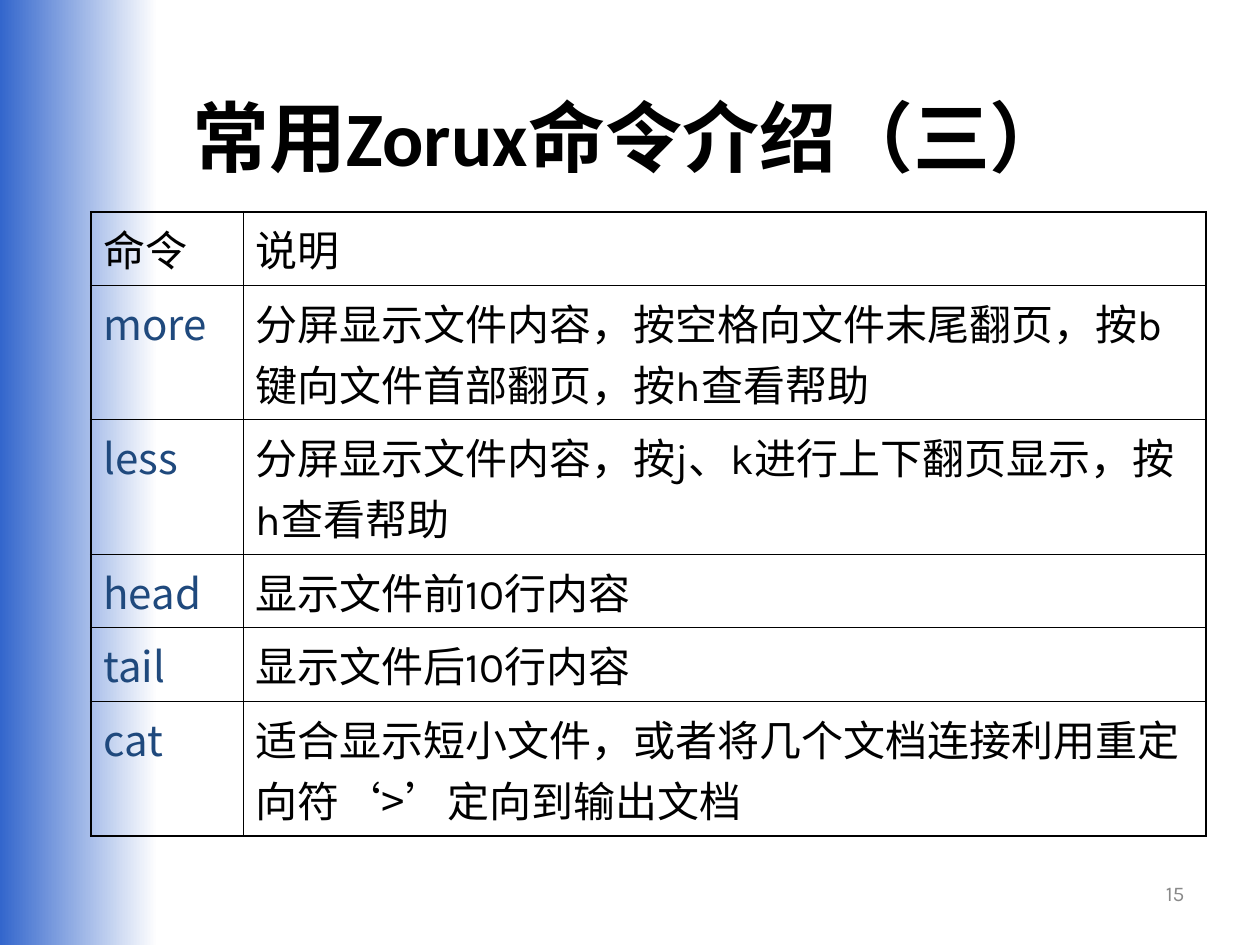
from lxml import etree
from pptx import Presentation
from pptx.dml.color import RGBColor
from pptx.enum.shapes import MSO_SHAPE
from pptx.enum.text import MSO_ANCHOR, PP_ALIGN
from pptx.oxml.ns import qn
from pptx.util import Inches, Pt

RECTANGLE = MSO_SHAPE.RECTANGLE
MIDDLE = MSO_ANCHOR.MIDDLE
CENTER = PP_ALIGN.CENTER
RIGHT = PP_ALIGN.RIGHT

CJK = "Noto Sans CJK SC"
LATIN = "Karla"
BLACK = "000000"
NAVY = "1F497D"
THIN, THICK = 0.45, 1.08

COLUMN_WIDTHS = [1.21, 7.64]
ROW_HEIGHTS = [0.5, 0.9, 0.9, 0.5, 0.5, 0.9]
COMMANDS = [
    ("命令", [("说明", LATIN)]),
    ("more", [("分屏显示文件内容，按空格向文件末尾翻页，按b键向文件首部翻页，按h查看帮助", LATIN)]),
    ("less", [("分屏显示文件内容，按j、k进行上下翻页显示，按h查看帮助", LATIN)]),
    ("head", [("显示文件前10行内容", LATIN)]),
    ("tail", [("显示文件后10行内容", LATIN)]),
    ("cat", [
        ("适合显示短小文件，或者将几个文档连接利用重定向符", CJK),
        ("‘", "Arial"),
        (">", CJK),
        ("’", "Arial"),
        ("定向到输出文档", CJK),
    ]),
]


def rgb(color):
    return RGBColor.from_string(color)


def format_run(r, size, font, color, bold=False):
    r.font.size = Pt(size)
    r.font.name = font
    r.font.bold = bold
    r.font.color.rgb = rgb(color)
    latin = r.font._element.find(qn("a:latin"))
    ea = etree.Element(qn("a:ea"), typeface=CJK)
    latin.addnext(ea)


def format_title(title):
    title.left, title.top = Inches(0.5), Inches(0.32)
    title.width, title.height = Inches(9), Inches(1.51)
    tf = title.text_frame
    tf.text = "常用Zorux命令介绍（三）"
    tf.vertical_anchor = MIDDLE
    p = tf.paragraphs[0]
    p.alignment = CENTER
    format_run(p.runs[0], 44, "Calibri", BLACK, bold=True)


def add_side_band(slide):
    sp = slide.shapes.add_shape(RECTANGLE, 0, 0, Inches(1.25), Inches(7.5))
    sp.shadow.inherit = False
    sp.line.fill.background()
    sp.fill.gradient()
    sp.fill.gradient_angle = 180
    for stop, position, color in zip(sp.fill.gradient_stops, (0, 1), ("FFFFFF", "3366CC")):
        stop.position = position
        stop.color.rgb = rgb(color)
    slide.shapes.title.element.addprevious(sp.element)


def set_borders(cell, widths):
    tc_pr = cell._tc.get_or_add_tcPr()
    for index, (side, width) in enumerate(zip(("lnL", "lnR", "lnT", "lnB"), widths)):
        ln = etree.Element(qn(f"a:{side}"), w=str(Pt(width)))
        fill = etree.SubElement(ln, qn("a:solidFill"))
        etree.SubElement(fill, qn("a:srgbClr"), val=BLACK)
        tc_pr.insert(index, ln)


def fill_cell(cell, parts, color):
    cell.fill.background()
    cell.margin_left = cell.margin_right = Inches(0.1)
    cell.margin_top = cell.margin_bottom = Inches(0.05)
    p = cell.text_frame.paragraphs[0]
    p.space_before = Pt(6)
    for text, font in parts:
        r = p.add_run()
        r.text = text
        format_run(r, 24, font, color)


def add_command_table(slide):
    last_row, last_col = len(ROW_HEIGHTS) - 1, len(COLUMN_WIDTHS) - 1
    table = slide.shapes.add_table(
        len(ROW_HEIGHTS), len(COLUMN_WIDTHS), Inches(0.72), Inches(1.68),
        Inches(sum(COLUMN_WIDTHS)), Inches(sum(ROW_HEIGHTS))).table
    table.first_row = table.horz_banding = False
    for column, width in zip(table.columns, COLUMN_WIDTHS):
        column.width = Inches(width)
    for row, height in zip(table.rows, ROW_HEIGHTS):
        row.height = Inches(height)
    for i, (command, description) in enumerate(COMMANDS):
        font, color = (CJK, NAVY) if i else (LATIN, BLACK)
        fill_cell(table.cell(i, 0), [(command, font)], color)
        fill_cell(table.cell(i, 1), description, BLACK)
        for j in range(len(COLUMN_WIDTHS)):
            outer = (j == 0, j == last_col, i == 0, i == last_row)
            set_borders(table.cell(i, j), [THICK if edge else THIN for edge in outer])


def add_page_number(slide, number):
    box = slide.shapes.add_textbox(Inches(7.17), Inches(6.83), Inches(2.33), Inches(0.52))
    tf = box.text_frame
    tf.word_wrap = True
    tf.vertical_anchor = MIDDLE
    tf.text = number
    p = tf.paragraphs[0]
    p.alignment = RIGHT
    format_run(p.runs[0], 12, LATIN, "898989")


def main():
    prs = Presentation()
    prs.slide_width, prs.slide_height = Inches(10), Inches(7.5)
    slide = prs.slides.add_slide(prs.slide_layouts[5])
    format_title(slide.shapes.title)
    add_side_band(slide)
    add_command_table(slide)
    add_page_number(slide, "15")
    prs.save("out.pptx")


if __name__ == "__main__":
    main()
